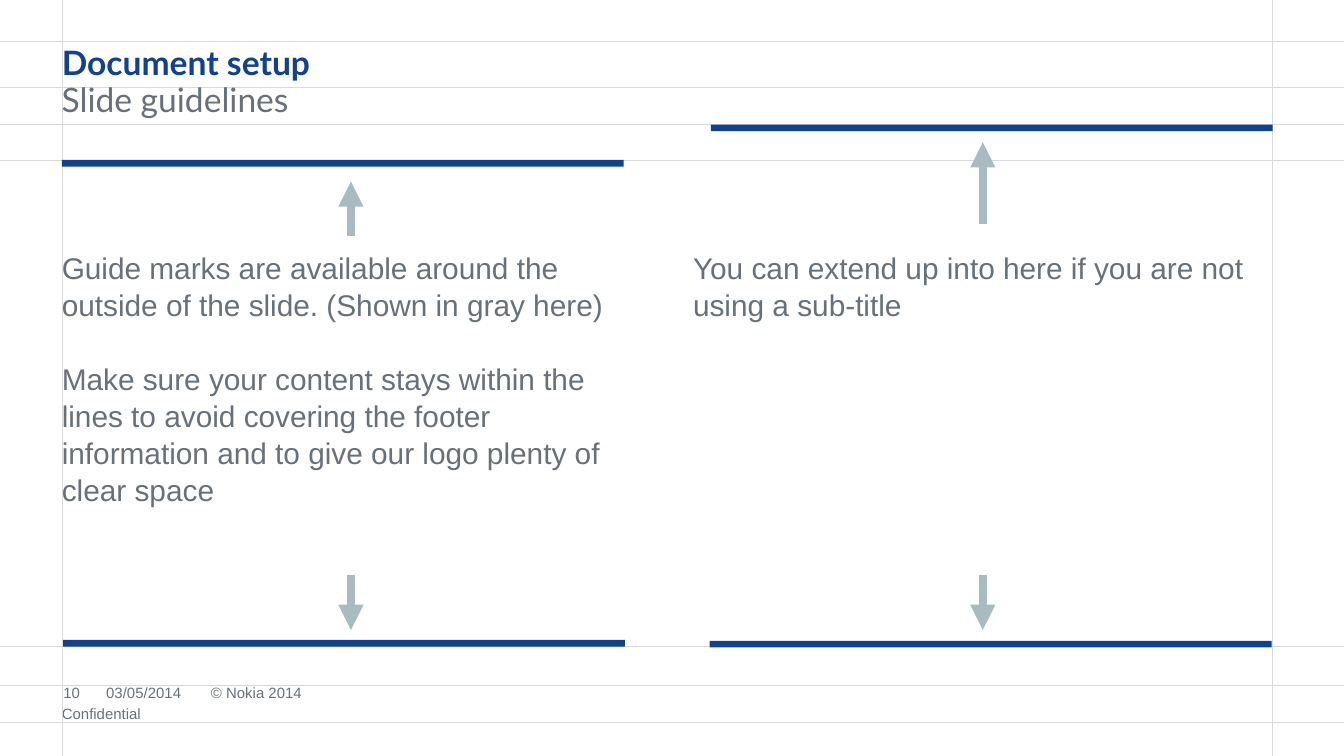
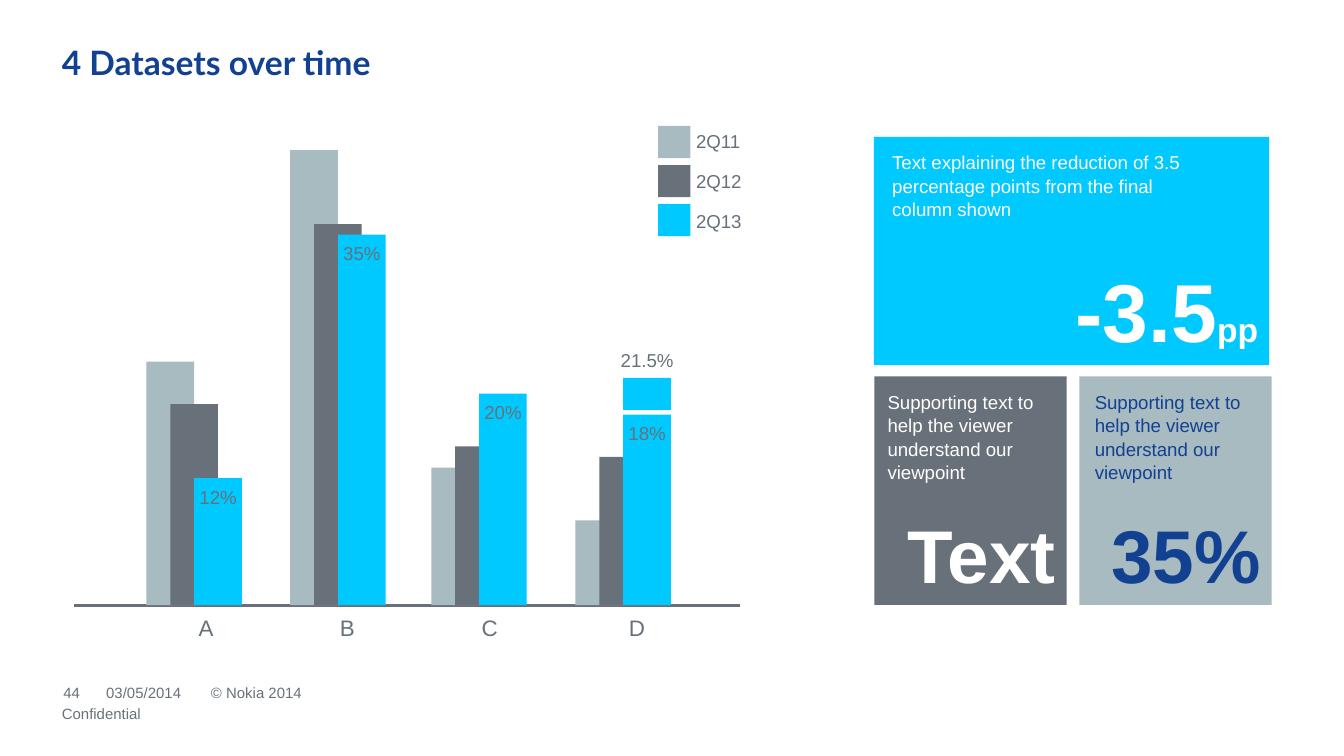
"""Build the slide guidelines page and the datasets page."""
import pptx
import pptx.dml.color
import pptx.enum.shapes
import pptx.enum.text
import pptx.oxml.ns
import pptx.util
from lxml import etree

Pt = pptx.util.Pt
RGBColor = pptx.dml.color.RGBColor
ALIGN = pptx.enum.text.PP_ALIGN
ANCHOR = pptx.enum.text.MSO_ANCHOR
qn = pptx.oxml.ns.qn

NAVY = RGBColor(0x12, 0x41, 0x91)
SLATE = RGBColor(0x68, 0x71, 0x7A)
MIST = RGBColor(0xA8, 0xBB, 0xC0)
CYAN = RGBColor(0x00, 0xC9, 0xFF)
GUIDE = RGBColor(0xD8, 0xD9, 0xDA)
WHITE = RGBColor(0xFF, 0xFF, 0xFF)

WIDTH, HEIGHT = 720, 405
LEFT, RIGHT = 33.1, 681.6
NO_INSETS = (0, 0, 0, 0)
LABEL_INSETS = (7.2, 3.6, 7.2, 3.6)
NOTE_INSETS = (7.2, 7.2, 5.8, 3.6)
FIGURE_INSETS = (0, 3.6, 5.8, 3.6)


def add_box(page, left, top, width, height, color=None):
    """Add a filled rectangle, or a text box when no colour is given."""
    area = Pt(left), Pt(top), Pt(width), Pt(height)
    if color is None:
        return page.shapes.add_textbox(*area)
    block = page.shapes.add_shape(pptx.enum.shapes.MSO_SHAPE.RECTANGLE, *area)
    block.shadow.inherit = False
    block.fill.solid()
    block.fill.fore_color.rgb = color
    block.line.fill.background()
    return block


def write(box, text, size, color, insets=NO_INSETS, align=ALIGN.LEFT, bold=False,
          font="Arial", anchor=ANCHOR.TOP, wrap=True, gap=0):
    """Fill a box with text, one paragraph per line, and format it."""
    frame = box.text_frame
    frame.auto_size = pptx.enum.text.MSO_AUTO_SIZE.NONE
    frame.word_wrap = wrap
    frame.vertical_anchor = anchor
    frame.margin_left, frame.margin_top, frame.margin_right, frame.margin_bottom = map(Pt, insets)
    frame.text = text
    for index, para in enumerate(frame.paragraphs):
        para.alignment = align
        para.line_spacing = 1.04 if font == "Arial" else 1.0
        para.space_before = Pt(gap if index else 0)
        for span in para.runs:
            span.font.name = font
            span.font.size = Pt(size)
            span.font.bold = bold
            span.font.color.rgb = color


deck = pptx.Presentation()
deck.slide_width, deck.slide_height = Pt(WIDTH), Pt(HEIGHT)

pages = []
for title, number in (("Document setup", "10"), ("4 Datasets over time", "44")):
    page = deck.slides.add_slide(deck.slide_layouts[5])
    pages.append(page)
    heading = page.shapes.title
    heading.left, heading.top, heading.width, heading.height = Pt(LEFT), Pt(22.3), Pt(648), Pt(24.5)
    write(heading, title, 18, NAVY, bold=True, font="Lato")
    for text, left, top, width in (
        (number, 34, 365.8, 11.5),
        ("03/05/2014", 56.9, 365.8, 54),
        ("© Nokia 2014", 113, 365.8, 478.8),
        ("Confidential", LEFT, 377.3, 478.8),
    ):
        write(add_box(page, left, top, width, 10.5), text, 8, SLATE)
guidelines, datasets = pages

BASELINE = 324.2
lines = [(guidelines, 0, y, WIDTH, y, GUIDE, 0.25, False)
         for y in (22.2, 46.6, 66.7, 85.8, 346.2, 367.2, 386.9)]
lines += [(guidelines, x, 0, x, HEIGHT, GUIDE, 0.25, False) for x in (LEFT, RIGHT)]
lines += [(guidelines, x, start, x, end, MIST, 4.5, True)
          for x, start, end in ((188, 126.5, 97.2), (188, 308, 337.5),
                                (526.5, 120, 76.2), (526.5, 308, 337.5))]
lines.append((datasets, 39.6, BASELINE, 396.4, BASELINE, SLATE, 1.5, False))
for page, x1, y1, x2, y2, color, weight, arrow in lines:
    line = page.shapes.add_connector(
        pptx.enum.shapes.MSO_CONNECTOR.STRAIGHT, Pt(x1), Pt(y1), Pt(x2), Pt(y2))
    line.line.color.rgb = color
    line.line.width = Pt(weight)
    if arrow:
        etree.SubElement(line.line._get_or_add_ln(), qn("a:tailEnd"), type="triangle")
    etree.SubElement(line._element.spPr, qn("a:effectLst"))

for left, top in ((LEFT, 85.7), (380.8, 66.7), (380.2, 343.3), (33.8, 342.8)):
    add_box(guidelines, left, top, 301, 3.6, NAVY)

write(add_box(guidelines, LEFT, 42.5, 648, 23.8), "Slide guidelines", 18, SLATE, font="Lato")
for left, inset, text in (
    (LEFT, 0, "Guide marks are available around the outside of the slide. (Shown in gray here)\n"
     "Make sure your content stays within the lines to avoid covering the footer "
     "information and to give our logo plenty of clear space"),
    (364.2, 7.2, "You can extend up into here if you are not using a sub-title"),
):
    write(add_box(guidelines, left, 85.7, 317.5, 200.2), text, 16, SLATE,
          insets=(inset, 47.4, 7.2, 3.6), gap=19.2)

SERIES = (("2Q11", MIST), ("2Q12", SLATE), ("2Q13", CYAN))
BAR_WIDTH, BAR_STEP, POINTS_PER_PERCENT = 25.5, 12.8, 5.67
for category, left, center, values in (
    ("A", 78.5, 110.5, (23, 19, 12)),
    ("B", 155.5, 186.1, (43, 36, 35)),
    ("C", 231.1, 262.4, (13, 15, 20)),
    ("D", 308.3, 341.2, (8, 14, 18)),
):
    for index, (value, (name, color)) in enumerate(zip(values, SERIES)):
        bar_left = left + index * BAR_STEP
        bar_height = value * POINTS_PER_PERCENT
        bar_top = BASELINE - bar_height
        add_box(datasets, bar_left, bar_top, BAR_WIDTH, bar_height, color)
    write(add_box(datasets, bar_left + BAR_WIDTH / 2 - 18, bar_top, 36, 19.4), f"{value}%",
          10, SLATE, LABEL_INSETS, ALIGN.CENTER, wrap=False)
    write(add_box(datasets, center - 11.2, 325, 22.4, 21.8), category,
          12, SLATE, LABEL_INSETS, ALIGN.CENTER, wrap=False)

add_box(datasets, bar_left, 202.4, BAR_WIDTH, 17.2, CYAN)
write(add_box(datasets, 324.3, 183, 44.6, 19.4), "21.5%", 10, SLATE,
      LABEL_INSETS, ALIGN.CENTER, wrap=False)

for index, (name, color) in enumerate(SERIES):
    add_box(datasets, 352.6, 67.5 + index * 20.9, 17.2, 17.2, color)
    write(add_box(datasets, 365.8, 65.6 + index * 21.3, 39.6, 19.4), name,
          10, SLATE, LABEL_INSETS, wrap=False)

SUPPORT = "Supporting text to help the viewer understand our viewpoint"
for left, top, width, fill, ink, figure, unit, size, note, note_left, note_width in (
    (468.2, 73.3, 211.7, CYAN, WHITE, "-3.5", "pp", 44,
     "Text explaining the reduction of 3.5 percentage points from the final column shown",
     470.9, 186.5),
    (468.4, 201.7, 103, SLATE, WHITE, "Text", "", 40, SUPPORT, 468.4, 102.2),
    (578.2, 201.7, 103, MIST, NAVY, "35%", "", 40, SUPPORT, 579.4, 102.2),
):
    panel = add_box(datasets, left, top, width, 122.4, fill)
    write(panel, figure, size, ink, FIGURE_INSETS, ALIGN.RIGHT, bold=True, anchor=ANCHOR.BOTTOM)
    if unit:
        span = panel.text_frame.paragraphs[0].add_run()
        span.text = unit
        span.font.name = "Arial"
        span.font.size = Pt(18)
        span.font.bold = True
        span.font.color.rgb = ink
    write(add_box(datasets, note_left, top, note_width, 73.4), note, 10, ink, NOTE_INSETS)

deck.save("out.pptx")
